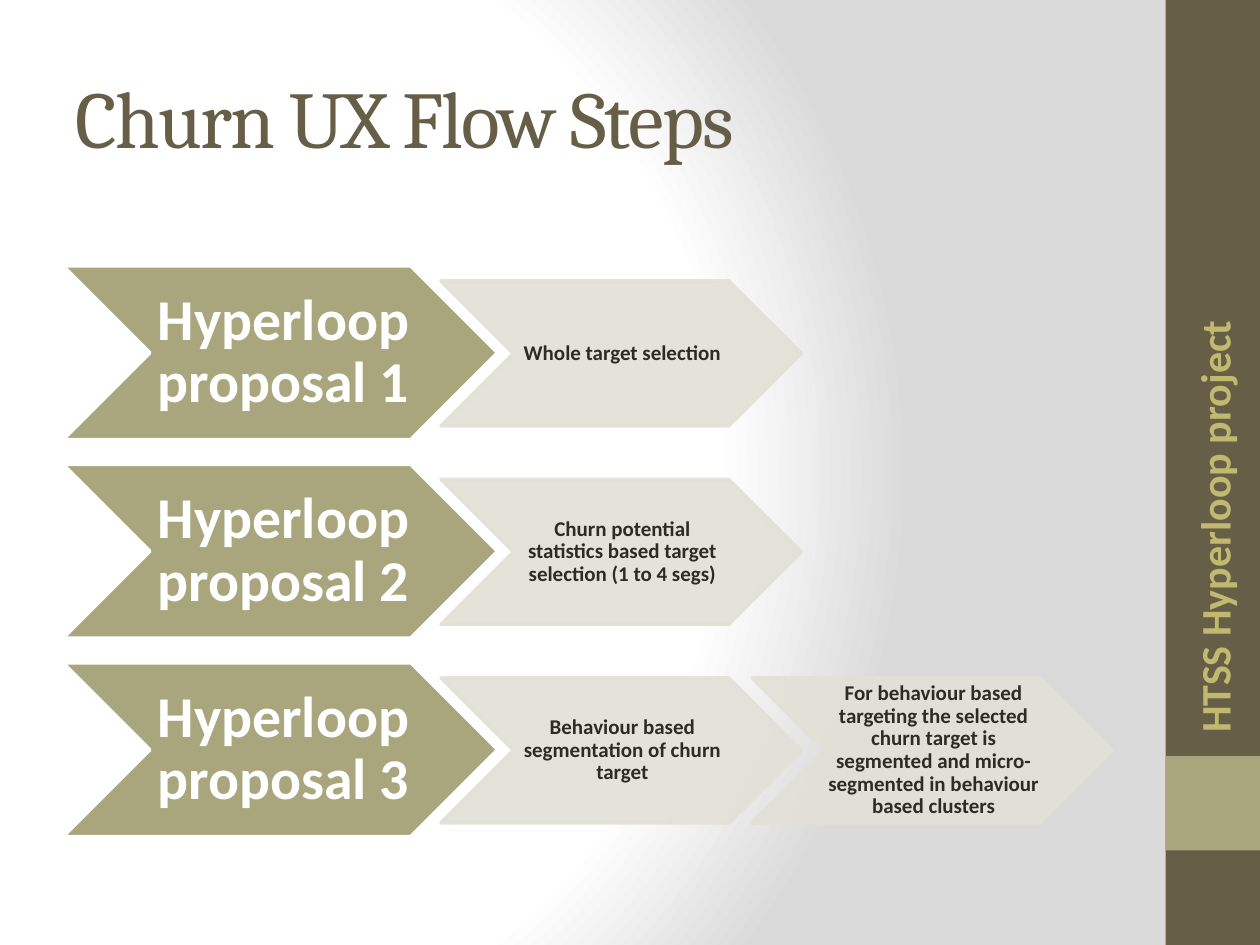
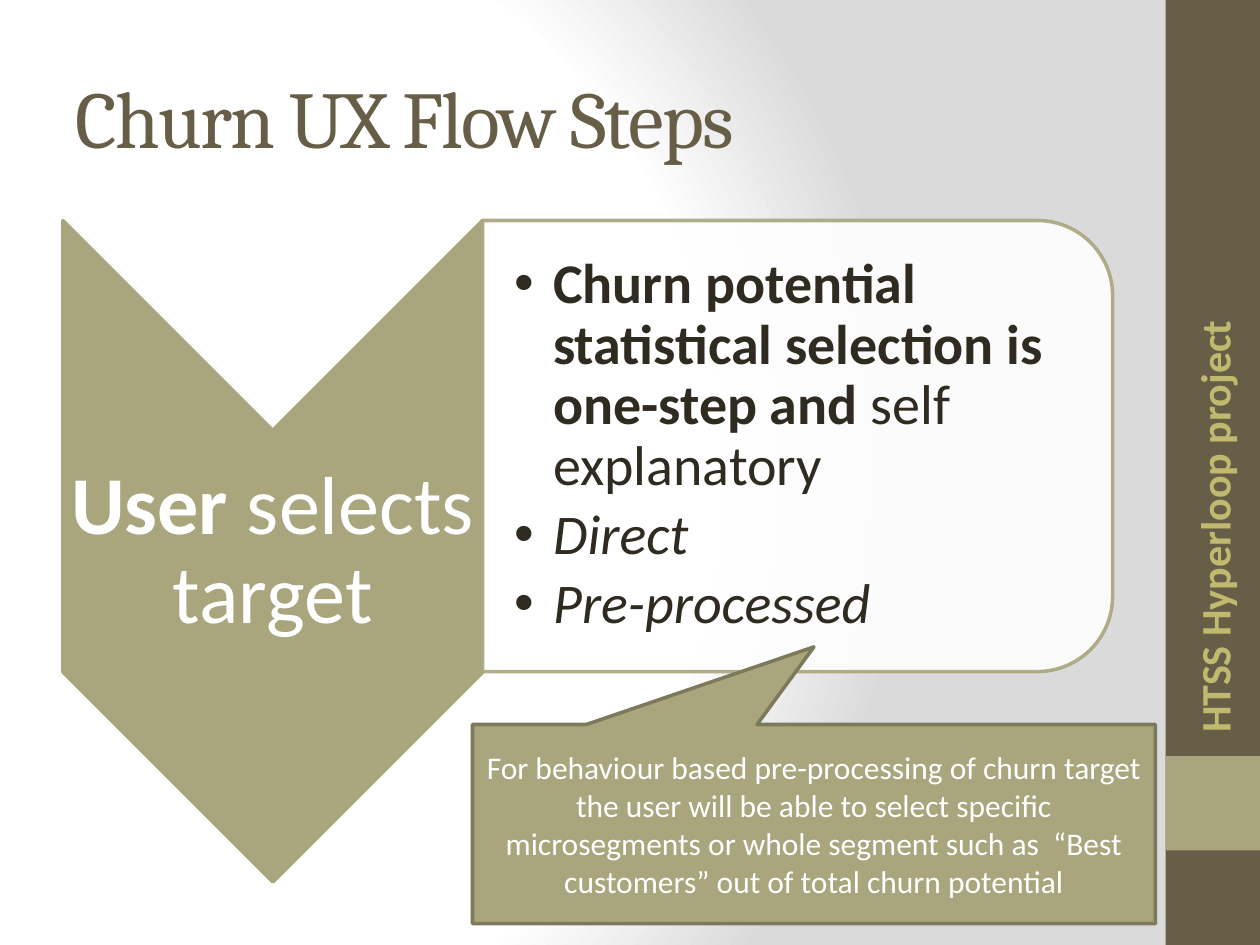
"""Build two slides on the churn UX flow."""
from lxml import etree
from pptx import Presentation
from pptx.dml.color import RGBColor
from pptx.enum import shapes, text
from pptx.oxml import ns, parse_xml
from pptx.util import Inches, Pt

COLORS = {
    "white": "FFFFFF",
    "shade": "DADADA",
    "brown": "675E47",
    "olive": "A9A57C",
    "olive_edge": "7D7A5C",
    "label": "C0BA71",
    "pale": "E2E1D7",
    "ink": "2F2B20",
}
TITLE = "Churn UX Flow Steps"
TITLE_BOX = (0.5, 0.3, 8.33, 1.25)
TITLE_FONT, BODY_FONT = "Cambria", "Calibri"
KIND = shapes.MSO_SHAPE
ALIGN = text.PP_ALIGN
ANCHOR = text.MSO_ANCHOR

PROPOSALS = [
    ("Hyperloop proposal 1", ["Whole target selection"]),
    ("Hyperloop proposal 2",
     ["Churn potential statistics based target selection (1 to 4 segs)"]),
    ("Hyperloop proposal 3",
     ["Behaviour based segmentation of churn target",
      "For behaviour based targeting the selected churn target is segmented "
      "and micro-segmented in behaviour based clusters"]),
]
SELECTION_POINTS = [
    [("Churn potential statistical selection is one-step and ", "b"),
     ("self explanatory", "")],
    [("Direct", "i")],
    [("Pre-processed", "i")],
]
CALLOUT_TEXT = (
    "For behaviour based pre-processing of churn target the user will be able "
    "to select specific microsegments or whole segment such as  \u201cBest "
    "customers\u201d out of total churn potential")


def rgb(name):
    """Return a palette colour."""
    return RGBColor.from_string(COLORS[name])


def inches(values):
    """Turn plain numbers into lengths."""
    return [Inches(value) for value in values]


def place(item, box):
    """Set left, top, width and height of a shape."""
    item.left, item.top, item.width, item.height = inches(box)


def set_opacity(shape, percent):
    """Make the fill and line colours of a shape partly transparent."""
    for color in shape.element.spPr.iter(ns.qn("a:srgbClr")):
        etree.SubElement(color, ns.qn("a:alpha"), val=str(percent * 1000))


def add_block(page, kind, box, fill, line=None, opacity=100, rotation=0):
    """Add a flat preset shape."""
    block = page.shapes.add_shape(kind, *inches(box))
    block.shadow.inherit = False
    block.rotation = rotation
    block.fill.solid()
    block.fill.fore_color.rgb = rgb(fill)
    if line:
        block.line.color.rgb = rgb(line)
        block.line.width = Pt(2)
    else:
        block.line.fill.background()
    if opacity < 100:
        set_opacity(block, opacity)
    return block


def setup_frame(frame, insets=None, anchor=ANCHOR.MIDDLE):
    """Set wrapping, anchor and insets of a text frame."""
    frame.word_wrap = True
    frame.auto_size = text.MSO_AUTO_SIZE.NONE
    frame.vertical_anchor = anchor
    if insets:
        (frame.margin_left, frame.margin_top,
         frame.margin_right, frame.margin_bottom) = inches(insets)


def write(frame, paragraphs, size, color, font=BODY_FONT,
          align=ALIGN.CENTER, spacing=None):
    """Fill a frame with paragraphs, each a list of (words, style) spans."""
    for index, spans in enumerate(paragraphs):
        para = frame.add_paragraph() if index else frame.paragraphs[0]
        para.alignment = align
        para.line_spacing = spacing
        for words, style in spans:
            span = para.add_run()
            span.text = words
            span.font.name = font
            span.font.size = Pt(size)
            span.font.color.rgb = rgb(color)
            span.font.bold = "b" in style
            span.font.italic = "i" in style


def add_bullets(frame, indent, gap):
    """Give every paragraph of a frame a hanging round bullet."""
    for para in frame.paragraphs:
        para.space_before = Pt(0)
        para.space_after = Pt(gap)
        properties = para._p.get_or_add_pPr()
        properties.set("marL", str(Inches(indent)))
        properties.set("indent", str(-Inches(indent)))
        etree.SubElement(properties, ns.qn("a:buChar"), char="\u2022")


def set_background(master):
    """Put the radial white-to-grey gradient on the master."""
    master.background.fill.gradient()
    old = next(master.element.iter(ns.qn("a:gradFill")))
    stops = "".join(
        f'<a:gs pos="{position * 1000}"><a:srgbClr val="{COLORS[name]}"/></a:gs>'
        for position, name in [(0, "white"), (75, "white"), (100, "shade")])
    old.getparent().replace(old, parse_xml(
        f'<a:gradFill {ns.nsdecls("a")} rotWithShape="1">'
        f'<a:gsLst>{stops}</a:gsLst><a:path path="circle">'
        '<a:fillToRect l="20000" t="50000" r="100000" b="50000"/>'
        '</a:path></a:gradFill>'))


def add_side_band(page, master):
    """Draw the side band and its label, then hand them to the master."""
    band = add_block(page, KIND.RECTANGLE, (9.25, 0, 0.75, 7.5), "brown")
    accent = add_block(page, KIND.RECTANGLE, (9.25, 6, 0.75, 0.75), "olive")
    label = page.shapes.add_textbox(*inches((7.8, 3.83, 3.67, 0.5)))
    label.rotation = 270
    setup_frame(label.text_frame, anchor=ANCHOR.TOP)
    label.text_frame.auto_size = text.MSO_AUTO_SIZE.SHAPE_TO_FIT_TEXT
    write(label.text_frame, [[("HTSS Hyperloop project", "b")]], 24, "label",
          align=ALIGN.LEFT)
    for number, item in enumerate((band, accent, label), start=101):
        item.element.nvSpPr.cNvPr.set("id", str(number))
        master.shapes.element.append(item.element)


def add_page(deck, layout_name):
    """Add a page with the shared title."""
    page = deck.slides.add_slide(deck.slide_layouts.get_by_name(layout_name))
    title = page.shapes.title
    place(title, TITLE_BOX)
    setup_frame(title.text_frame)
    write(title.text_frame, [[(TITLE, "")]], 46, "brown", TITLE_FONT, ALIGN.LEFT)
    for span in title.text_frame.paragraphs[0].runs:
        span.font._element.set("spc", "-100")
    return page


def add_proposal_row(page, top, name, steps):
    """Add a large chevron with its smaller step chevrons."""
    head = add_block(page, KIND.CHEVRON, (0.5, top, 3.45, 1.38),
                     "olive", "white")
    setup_frame(head.text_frame, (0.05, 0.02, 0, 0.02))
    write(head.text_frame, [[(name, "b")]], 33, "white", spacing=0.9)
    for column, words in enumerate(steps):
        box = (3.5 + column * 2.47, top + 0.12, 2.86, 1.15)
        step = add_block(page, KIND.CHEVRON, box, "pale", "pale", opacity=90)
        setup_frame(step.text_frame, (0.02, 0.01, 0, 0.01))
        write(step.text_frame, [[(words, "b")]], 12, "ink", spacing=0.9)


def add_selection(page):
    """Add the downward chevron and the panel with the bullet list."""
    add_block(page, KIND.CHEVRON, (-0.46, 2.71, 5.25, 3.33),
              "olive", "olive", rotation=90)
    caption = page.shapes.add_textbox(*inches((0.5, 3.42, 3.33, 1.92)))
    setup_frame(caption.text_frame, (0.03,) * 4)
    write(caption.text_frame, [[("User ", "b"), ("selects target", "")]],
          47, "white", spacing=0.9)

    add_block(page, KIND.ROUND_2_SAME_RECTANGLE, (4.54, 1.04, 3.58, 5),
              "white", "olive", opacity=90, rotation=90)
    body = page.placeholders[1]
    page.shapes.element.append(body.element)
    place(body, (3.83, 1.92, 4.83, 3.23))
    setup_frame(body.text_frame, (0.25, 0.02, 0.02, 0.02))
    write(body.text_frame, SELECTION_POINTS, 32, "ink",
          align=ALIGN.LEFT, spacing=0.9)
    add_bullets(body.text_frame, 0.31, 4.8)


def add_callout(page):
    """Add the callout that points at the last bullet."""
    callout = add_block(page, KIND.RECTANGULAR_CALLOUT,
                        (3.75, 5.75, 5.42, 1.58), "olive", "olive_edge")
    callout.adjustments[0] = 0
    callout.adjustments[1] = -0.89
    setup_frame(callout.text_frame)
    write(callout.text_frame, [[(CALLOUT_TEXT, "")]], 18, "white")


def main():
    """Build and save the deck."""
    deck = Presentation()
    deck.slide_width, deck.slide_height = Inches(10), Inches(7.5)
    set_background(deck.slide_master)

    proposals = add_page(deck, "Title Only")
    add_side_band(proposals, deck.slide_master)
    for row, (name, steps) in enumerate(PROPOSALS):
        add_proposal_row(proposals, 2.11 + row * 1.575, name, steps)

    selection = add_page(deck, "Title and Content")
    add_selection(selection)
    add_callout(selection)
    deck.save("out.pptx")


main()
